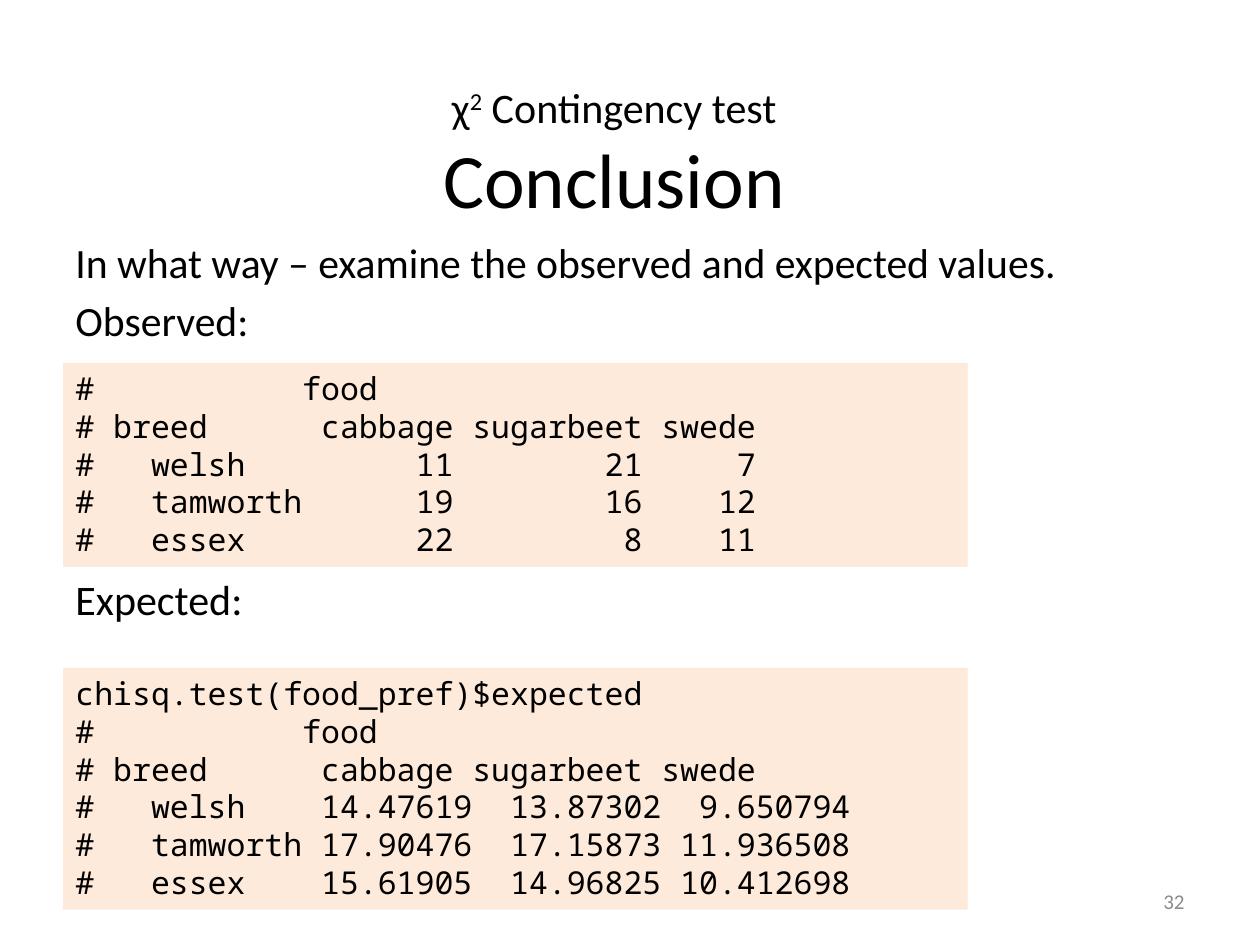
from pptx import Presentation
from pptx.dml.color import RGBColor
from pptx.enum.shapes import MSO_SHAPE
from pptx.enum.text import MSO_ANCHOR, PP_ALIGN
from pptx.util import Inches, Pt

LEFT, CENTER, RIGHT = PP_ALIGN.LEFT, PP_ALIGN.CENTER, PP_ALIGN.RIGHT
TOP, MIDDLE = MSO_ANCHOR.TOP, MSO_ANCHOR.MIDDLE
RECTANGLE = MSO_SHAPE.RECTANGLE

BLACK = RGBColor(0x00, 0x00, 0x00)
GREY = RGBColor(0x8C, 0x8C, 0x8C)
PEACH = RGBColor(0xFD, 0xEA, 0xDA)

TABLE_HEAD = [
    "#           food",
    "# breed      cabbage sugarbeet swede",
]
OBSERVED = TABLE_HEAD + [
    "#   welsh         11        21     7",
    "#   tamworth      19        16    12",
    "#   essex         22         8    11",
]
EXPECTED = ["chisq.test(food_pref)$expected"] + TABLE_HEAD + [
    "#   welsh    14.47619  13.87302  9.650794",
    "#   tamworth 17.90476  17.15873 11.936508",
    "#   essex    15.61905  14.96825 10.412698",
]


def add_text(paragraph, text, size=24, font="Calibri", color=BLACK, baseline=0):
    run = paragraph.add_run()
    run.text = text
    run.font.size = Pt(size)
    run.font.name = font
    run.font.color.rgb = color
    if baseline:
        run.font._element.set("baseline", str(baseline * 1000))


class SlideBuilder:
    body_font = "Calibri"
    code_font = "Noto Sans Mono"
    left = 0.5

    def __init__(self, slide):
        self.slide = slide

    def fill_frame(self, frame, lines, align=LEFT, anchor=TOP, before=0, **style):
        frame.word_wrap = True
        frame.vertical_anchor = anchor
        for index, line in enumerate(lines):
            paragraph = frame.add_paragraph() if index else frame.paragraphs[0]
            paragraph.alignment = align
            paragraph.space_before = Pt(before)
            add_text(paragraph, line, **style)

    def title(self, symbol, power, topic, heading):
        title = self.slide.shapes.title
        title.left, title.top = Inches(0.79), Inches(0.42)
        title.width, title.height = Inches(8.17), Inches(1.58)
        title.text_frame.vertical_anchor = MIDDLE
        paragraph = title.text_frame.paragraphs[0]
        paragraph.alignment = CENTER
        add_text(paragraph, symbol)
        add_text(paragraph, power, baseline=30)
        add_text(paragraph, topic)
        paragraph.add_line_break()
        add_text(paragraph, heading, size=44)

    def text(self, lines, top, height, left=left, width=8.75, **style):
        box = self.slide.shapes.add_textbox(
            Inches(left), Inches(top), Inches(width), Inches(height))
        self.fill_frame(box.text_frame, lines, font=self.body_font, **style)

    def code(self, lines, top, height):
        panel = self.slide.shapes.add_shape(
            RECTANGLE, Inches(self.left), Inches(top), Inches(7.18), Inches(height))
        panel.shadow.inherit = False
        panel.fill.solid()
        panel.fill.fore_color.rgb = PEACH
        panel.line.fill.background()
        self.fill_frame(panel.text_frame, lines, size=18, font=self.code_font)


def main():
    presentation = Presentation()
    presentation.slide_width, presentation.slide_height = Inches(10), Inches(7.5)
    title_only = presentation.slide_layouts[5]
    builder = SlideBuilder(presentation.slides.add_slide(title_only))

    builder.title("χ", "2", " Contingency test", "Conclusion")
    builder.text(
        ["In what way – examine the observed and expected values.", "Observed:"],
        top=1.83, height=0.83, size=23.8, before=4.8)
    builder.code(OBSERVED, top=2.88, height=1.62)
    builder.text(["Expected:"], top=4.5, height=0.5, before=4.8)
    builder.code(EXPECTED, top=5.3, height=1.92)
    builder.text(["32"], left=7.17, top=6.95, width=2.33, height=0.4,
                 size=12, color=GREY, align=RIGHT, anchor=MIDDLE)

    presentation.save("out.pptx")


if __name__ == "__main__":
    main()
